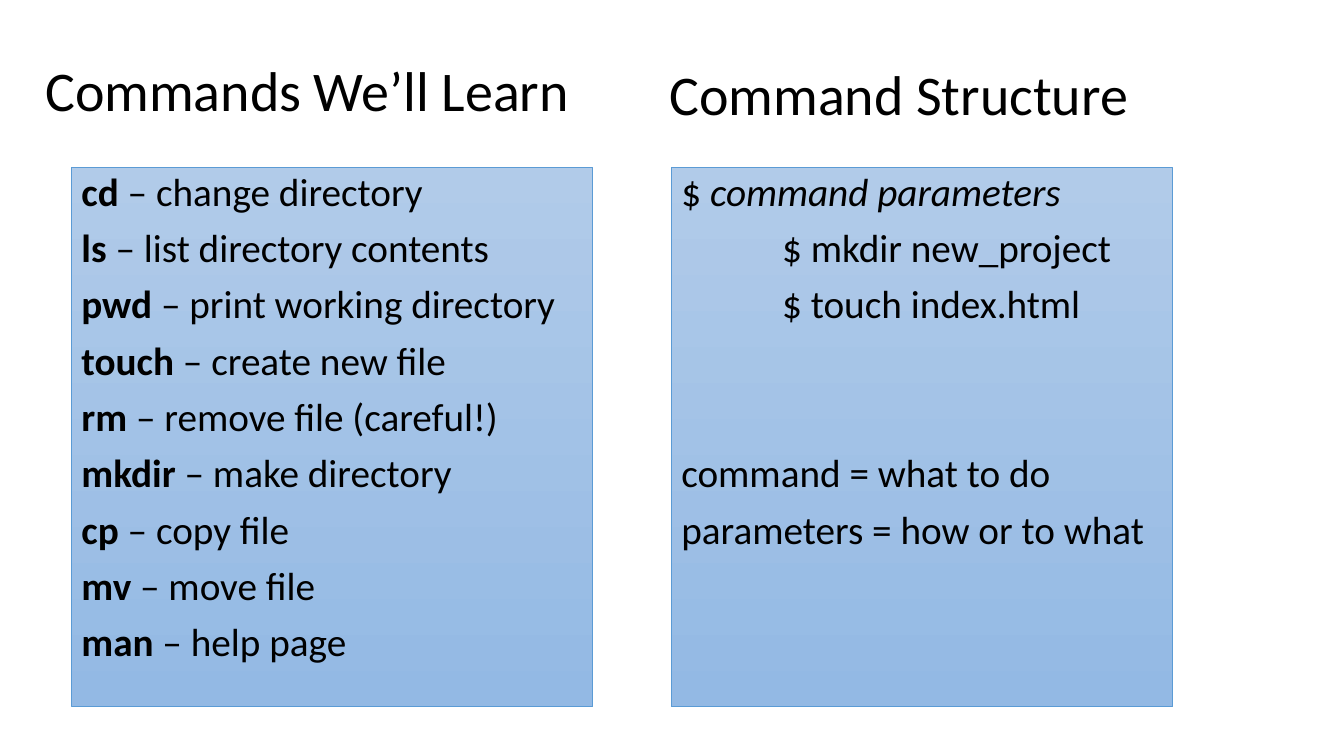
from pptx import Presentation
from pptx.dml.color import RGBColor
from pptx.enum.shapes import MSO_SHAPE
from pptx.enum.text import MSO_ANCHOR, PP_ALIGN
from pptx.util import Inches, Pt

COLOURS = {"text": "000000", "panel top": "B1CBE9", "panel bottom": "93B9E4", "panel line": "5B9BD5"}
LINE_SPACING = 0.9
PARA_GAP = 10
SECTION_GAP = 90.4  # leaves two text lines open above the paragraph


def add_span(para, text, size, **styles):
    span = para.add_run()
    span.text = text
    font_format = {"name": "Calibri", "size": Pt(size), "bold": False, "italic": False, **styles}
    for name, value in font_format.items():
        setattr(span.font, name, value)
    span.font.color.rgb = RGBColor.from_string(COLOURS["text"])


deck = Presentation()
deck.slide_width, deck.slide_height = Inches(13.33), Inches(7.5)
page = deck.slides.add_slide(deck.slide_layouts[6])

# Headings
for heading, left, top in [("Commands We’ll Learn", 0.35, 0.51), ("Command Structure", 6.54, 0.55)]:
    box = page.shapes.add_textbox(Inches(left), Inches(top), Inches(6.19), Inches(1.45))
    frame_format = {
        "word_wrap": True,
        "vertical_anchor": MSO_ANCHOR.MIDDLE,
        "margin_bottom": Inches(0.66),
    }
    for name, value in frame_format.items():
        setattr(box.text_frame, name, value)
    para = box.text_frame.paragraphs[0]
    para.line_spacing = LINE_SPACING
    add_span(para, heading, 40)

# Each line: spans as (text, styles), indent in inches, space before in points
commands = [
    ("cd", "change directory"),
    ("ls", "list directory contents"),
    ("pwd", "print working directory"),
    ("touch", "create new file"),
    ("rm", "remove file (careful!)"),
    ("mkdir", "make directory"),
    ("cp", "copy file"),
    ("mv", "move file"),
    ("man", "help page"),
]
command_lines = [
    ([(command, {"bold": True}), (f" – {meaning}", {})], 0, PARA_GAP)
    for command, meaning in commands
]
structure_lines = [
    ([("$ ", {}), ("command parameters", {"italic": True})], 0, PARA_GAP),
    ([("$ mkdir new_project", {})], 1, PARA_GAP),
    ([("$ touch index.html", {})], 1, PARA_GAP),
    ([("command = what to do", {})], 0, SECTION_GAP),
    ([("parameters = how or to what", {})], 0, PARA_GAP),
]

# Panels
for left, width, lines in [(0.71, 5.17, command_lines), (6.66, 4.97, structure_lines)]:
    panel = page.shapes.add_shape(
        MSO_SHAPE.RECTANGLE, Inches(left), Inches(1.66), Inches(width), Inches(5.35)
    )
    panel.shadow.inherit = False
    panel.fill.gradient()
    panel.fill.gradient_angle = 270
    for stop, shade, position in zip(panel.fill.gradient_stops, ("panel top", "panel bottom"), (0, 1)):
        stop.color.rgb = RGBColor.from_string(COLOURS[shade])
        stop.position = position
    panel.line.color.rgb = RGBColor.from_string(COLOURS["panel line"])
    panel.line.width = Pt(0.5)

    frame = panel.text_frame
    frame.word_wrap = True
    frame.vertical_anchor = MSO_ANCHOR.TOP
    for number, (spans, indent, gap) in enumerate(lines):
        para = frame.add_paragraph() if number else frame.paragraphs[0]
        para_format = {
            "alignment": PP_ALIGN.LEFT,
            "line_spacing": LINE_SPACING,
            "space_before": Pt(gap),
        }
        for name, value in para_format.items():
            setattr(para, name, value)
        para._p.get_or_add_pPr().set("marL", str(Inches(indent)))
        for text, styles in spans:
            add_span(para, text, 28, **styles)

deck.save("out.pptx")
